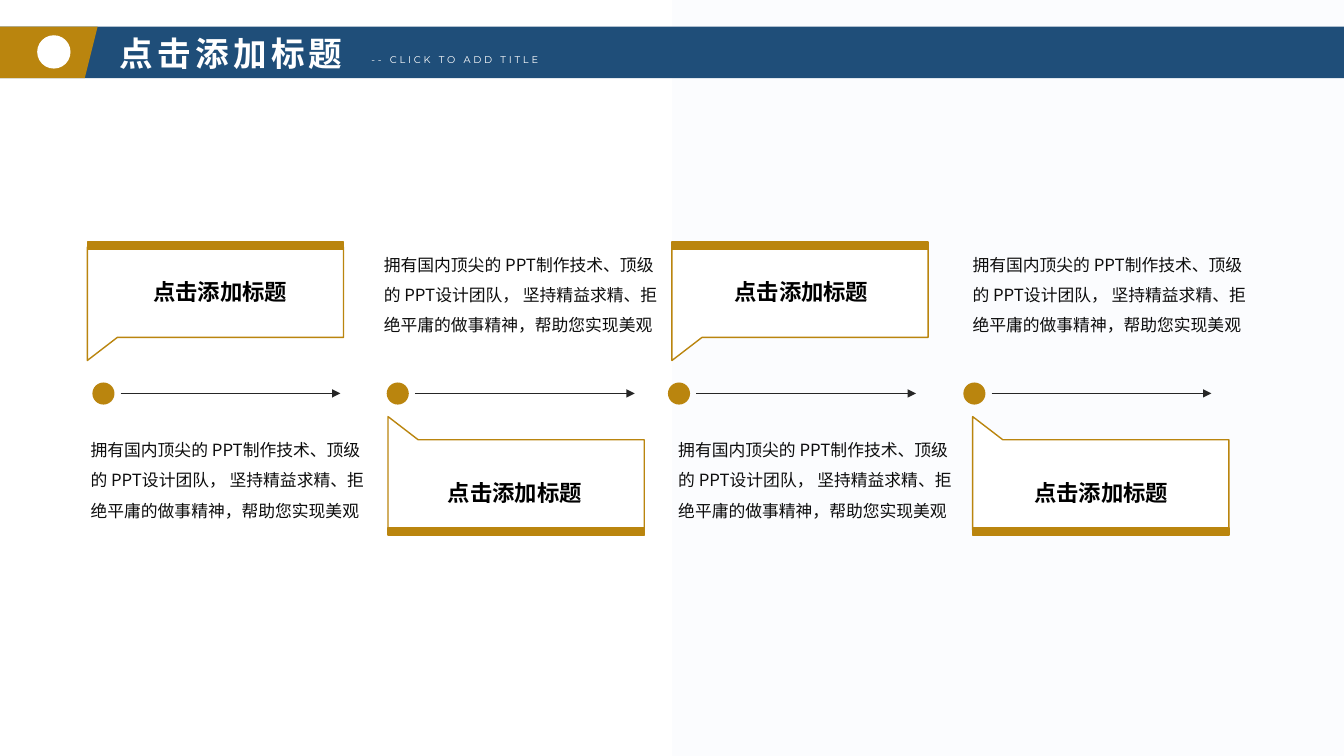
from dataclasses import dataclass

from lxml import etree
from pptx import Presentation
from pptx.dml.color import RGBColor
from pptx.enum.shapes import MSO_CONNECTOR, MSO_SHAPE
from pptx.enum.text import MSO_ANCHOR, MSO_AUTO_SIZE, PP_ALIGN
from pptx.oxml.ns import qn
from pptx.util import Pt

RECT, OVAL = MSO_SHAPE.RECTANGLE, MSO_SHAPE.OVAL
PARALLELOGRAM = MSO_SHAPE.PARALLELOGRAM
STRAIGHT = MSO_CONNECTOR.STRAIGHT
LEFT, CENTER = PP_ALIGN.LEFT, PP_ALIGN.CENTER
TOP, MIDDLE = MSO_ANCHOR.TOP, MSO_ANCHOR.MIDDLE
TITLE_ONLY = 5


@dataclass(frozen=True)
class Theme:
    navy: str = "1F4E79"
    gold: str = "BA850E"
    white: str = "FFFFFF"
    mist: str = "FBFCFE"
    black: str = "000000"
    body: str = "0D0D0D"
    arrow: str = "262626"
    cjk: str = "Noto Sans CJK SC"
    latin: str = "Montserrat"
    title_size: float = 24
    subtitle_size: float = 7
    label_size: float = 16
    body_size: float = 12


@dataclass(frozen=True)
class Step:
    dot: float
    callout: float
    label: float
    text: float
    text_width: float
    callout_above: bool


THEME = Theme()
HEADING = "点击添加标题"
BODY = ("拥有国内顶尖的 PPT制作技术、顶级的 PPT设计团队， "
        "坚持精益求精、拒绝平庸的做事精神，帮助您实现美观")
STEPS = [
    Step(66, 62.4, 93.6, 57.6, 212.4, True),
    Step(276.2, 277.2, 304.2, 267.1, 213.4, False),
    Step(477.1, 480, 508.8, 477.4, 213.4, True),
    Step(688.1, 694.8, 722.9, 687.6, 212.4, False),
]
CALLOUT = [(0, 0), (183, 0), (183, 64.5), (21.5, 64.5), (0, 81)]


def rgb(color):
    return RGBColor.from_string(color)


def paint(shape, fill, line=None):
    shape.shadow.inherit = False
    shape.fill.solid()
    shape.fill.fore_color.rgb = rgb(fill)
    if line:
        shape.line.color.rgb = rgb(line)
        shape.line.width = Pt(1)
    else:
        shape.line.fill.background()


def add_block(s, kind, x, y, w, h, fill, line=None):
    shape = s.shapes.add_shape(kind, Pt(x), Pt(y), Pt(w), Pt(h))
    paint(shape, fill, line)


def add_outline(s, points, fill, line=None):
    points = [(Pt(x), Pt(y)) for x, y in points]
    builder = s.shapes.build_freeform(*points[0])
    builder.add_line_segments(points[1:], close=True)
    paint(builder.convert_to_shape(), fill, line)


def set_text(shape, text, size, color, font=THEME.cjk, bold=False,
             align=LEFT, anchor=TOP, tracking=0, spacing=1.0):
    """Fill a shape with one paragraph; tracking is in points."""
    tf = shape.text_frame
    tf.word_wrap = True
    tf.auto_size = MSO_AUTO_SIZE.NONE
    tf.vertical_anchor = anchor
    p = tf.paragraphs[0]
    p.text = text
    p.alignment = align
    p.line_spacing = spacing
    p.font.name = font
    p.font.size = Pt(size)
    p.font.bold = bold
    p.font.color.rgb = rgb(color)
    props = p._p.pPr.find(qn("a:defRPr"))
    etree.SubElement(props, qn("a:ea")).set("typeface", font)
    if tracking:
        props.set("spc", str(tracking * 100))


def add_text(s, x, y, w, h, *args, **kwargs):
    box = s.shapes.add_textbox(Pt(x), Pt(y), Pt(w), Pt(h))
    set_text(box, *args, **kwargs)


def add_arrow(s, x, y, length):
    arrow = s.shapes.add_connector(STRAIGHT, Pt(x), Pt(y), Pt(x + length), Pt(y))
    arrow.line.color.rgb = rgb(THEME.arrow)
    arrow.line.width = Pt(0.5)
    etree.SubElement(arrow.line._get_or_add_ln(), qn("a:tailEnd")).set("type", "triangle")
    etree.SubElement(arrow._element.spPr, qn("a:effectLst"))


def add_header(s):
    add_block(s, PARALLELOGRAM, -34, 19, 1028, 36.8, THEME.navy)
    add_block(s, PARALLELOGRAM, -28.8, 19, 98.6, 36.8, THEME.gold)
    add_block(s, OVAL, 26.6, 25.2, 23.8, 23.8, THEME.white)
    title = s.shapes.title
    title.left, title.top, title.width, title.height = Pt(78.5), Pt(19.5), Pt(211), Pt(36.8)
    set_text(title, HEADING, THEME.title_size, THEME.white, bold=True,
             anchor=MIDDLE, tracking=3)
    title.element.getparent().append(title.element)  # bring in front of the bars
    add_text(s, 258.2, 34.8, 186.5, 15.8, "-- CLICK TO ADD TITLE",
             THEME.subtitle_size, THEME.white, THEME.latin, tracking=2)


def add_step(s, step):
    if step.callout_above:
        base, direction, label_y, text_y = 176.5, 1, 195.1, 303.4
    else:
        base, direction, label_y, text_y = 378.6, -1, 338.4, 171
    add_block(s, OVAL, step.dot, 273.2, 15.8, 15.8, THEME.gold)
    add_arrow(s, step.dot + 20.2, 281, 157)
    add_text(s, step.text, text_y, step.text_width, 72.7, BODY,
             THEME.body_size, THEME.body, spacing=1.5)
    points = [(step.callout + x, base + direction * y) for x, y in CALLOUT]
    add_outline(s, points, THEME.white, THEME.gold)
    add_block(s, RECT, step.callout, base - direction - 2.5, 183, 5,
              THEME.gold, THEME.gold)
    add_text(s, step.label, label_y, 127.4, 26.6, HEADING, THEME.label_size,
             THEME.black, bold=True, align=CENTER)


def set_background(s):
    fill = s.background.fill
    fill.gradient()
    fill.gradient_angle = 0
    for stop, color in zip(fill.gradient_stops, (THEME.white, THEME.mist)):
        stop.color.rgb = rgb(color)


def main():
    prs = Presentation()
    prs.slide_width, prs.slide_height = Pt(960), Pt(540)
    s = prs.slides.add_slide(prs.slide_layouts[TITLE_ONLY])
    set_background(s)
    add_header(s)
    for step in STEPS:
        add_step(s, step)
    prs.save("out.pptx")


if __name__ == "__main__":
    main()
